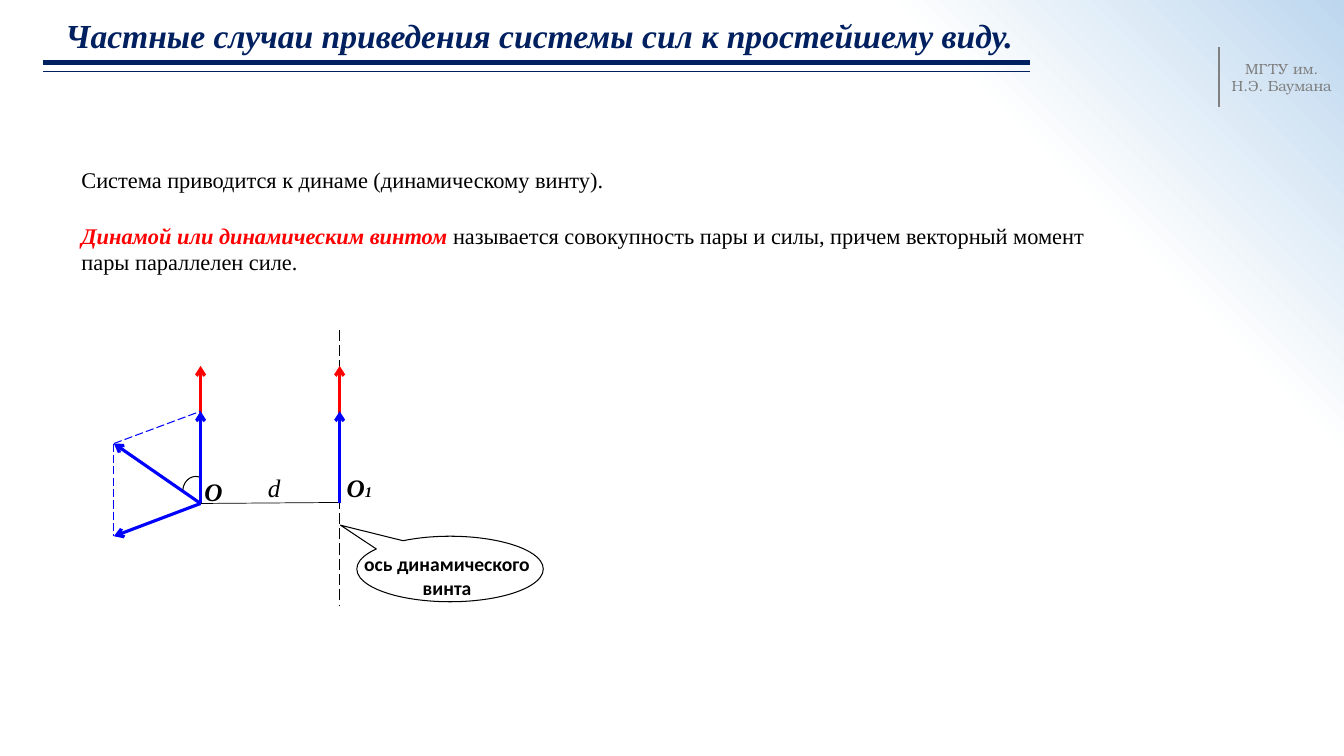
from dataclasses import dataclass

from lxml.etree import SubElement
from pptx import Presentation
from pptx.dml.color import RGBColor
from pptx.enum.dml import MSO_LINE_DASH_STYLE as Dash
from pptx.enum.shapes import MSO_CONNECTOR as Connector, MSO_SHAPE as Shape
from pptx.enum.text import MSO_ANCHOR as Anchor, PP_ALIGN as Align
from pptx.oxml import parse_xml
from pptx.oxml.ns import nsdecls, qn
from pptx.util import Inches, Pt

CELL = Inches(0.1)
COLUMNS, ROWS = 133.33, 75
NAVY, GRAY, BLACK, RED, BLUE = "002060", "808080", "000000", "FF0000", "0000FF"
SERIF = "Times New Roman"
BODY = {"name": SERIF, "size": 16, "color": BLACK}
TERM = BODY | {"color": RED, "bold": True, "italic": True}
SYMBOL = {"name": SERIF, "size": 18, "color": BLACK, "italic": True}
POINT = SYMBOL | {"bold": True}


@dataclass
class Box:
    """A region of the page, measured in grid cells."""
    left: float
    top: float
    width: float
    height: float

    def spot(self, column, row):
        """Return the page position of a point inside the region."""
        return round((self.left + column) * CELL), round((self.top + row) * CELL)

    def area(self, column, row, width, height):
        """Return the page frame of an area inside the region."""
        return *self.spot(column, row), round(width * CELL), round(height * CELL)


def paint(color):
    """Turn a hex string into a colour."""
    return RGBColor.from_string(color)


def add_background(page):
    """Fill the page with a radial gradient centred on the lower left corner."""
    page.background.fill.solid()
    properties = page.element.cSld.bg.bgPr
    properties.replace(properties[0], parse_xml(
        f'<a:gradFill {nsdecls("a")} rotWithShape="1"><a:gsLst>'
        '<a:gs pos="78000"><a:srgbClr val="FFFFFF"/></a:gs>'
        '<a:gs pos="100000"><a:srgbClr val="BDD7EE"/></a:gs></a:gsLst>'
        '<a:path path="circle"><a:fillToRect t="100000" r="100000"/></a:path>'
        '</a:gradFill>'))


def add_line(page, start, end, color, width, dashed=False, arrow=False):
    """Draw a straight line, dashed or with an arrowhead at its end."""
    line = page.shapes.add_connector(Connector.STRAIGHT, *start, *end)
    line.line.color.rgb = paint(color)
    line.line.width = Pt(width)
    properties = line.element.spPr
    if dashed:
        line.line.dash_style = Dash.LONG_DASH
    if arrow:
        SubElement(properties.find(qn("a:ln")), qn("a:tailEnd"), type="arrow")
    SubElement(properties, qn("a:effectLst"))


def add_text(page, frame, spans, align=Align.LEFT, anchor=Anchor.TOP, wrap=True, spacing=None):
    """Place one paragraph made of (text, format) spans."""
    text = page.shapes.add_textbox(*frame).text_frame
    text.word_wrap, text.vertical_anchor = wrap, anchor
    para = text.paragraphs[0]
    para.alignment, para.line_spacing = align, spacing
    for words, style in spans:
        span = para.add_run()
        span.text = words
        for key, value in style.items():
            if key == "color":
                span.font.color.rgb = paint(value)
            else:
                setattr(span.font, key, Pt(value) if key == "size" else value)


def add_outline(page, kind, frame, adjustments, rotation=0):
    """Draw an unfilled preset shape with a thin black outline."""
    shape = page.shapes.add_shape(kind, *frame)
    shape.shadow.inherit = False
    shape.fill.background()
    shape.line.color.rgb = paint(BLACK)
    shape.line.width = Pt(0.75)
    shape.rotation = rotation
    for index, value in enumerate(adjustments):
        shape.adjustments[index] = value


def add_header(page, box):
    """Place the title above its double rule."""
    title = {"name": SERIF, "size": 24, "color": NAVY, "bold": True, "italic": True}
    add_text(page, box.area(1.2, 0, 96.8, 5.8),
             [("Частные случаи приведения системы сил к простейшему виду.", title)],
             anchor=Anchor.MIDDLE, spacing=0.9)
    for row, width in ((5.4, 3.5), (6.3, 0.75)):
        add_line(page, box.spot(0, row), box.spot(box.width, row), NAVY, width)


def add_university(page, box):
    """Place the university name beside its upright rule."""
    add_line(page, box.spot(0, 0), box.spot(0, box.height), GRAY, 1.5)
    add_text(page, box.area(0, 0.7, box.width, 4.5),
             [("МГТУ им. Н.Э. Баумана",
               {"name": "TeX Gyre Bonum", "size": 10.5, "color": GRAY})], Align.CENTER)


def add_definition(page, box):
    """Place the statement and the definition of the wrench."""
    add_text(page, box.area(0, 0, 55, 3.7),
             [("Система приводится к динаме (динамическому винту).", BODY)])
    add_text(page, box.area(0, 5.5, box.width, 6.4),
             [("Динамой или динамическим винтом ", TERM),
              ("называется совокупность пары и силы, причем векторный момент "
               "пары параллелен силе.", BODY)])


def add_diagram(page, box):
    """Draw the vectors at O, the axis through O1 and the labels."""
    center, axis, base = 8.6, 22.4, 17.25
    force, moment, upper, lower = 8.1, 3.6, 11.3, 20.5
    origin = box.spot(center, base)

    add_outline(page, Shape.OVAL_CALLOUT, box.area(24.1, 20.5, 18.5, 6.5), (-0.588, -0.669))
    add_line(page, box.spot(axis, 0), box.spot(axis, box.height), BLACK, 1, dashed=True)
    add_line(page, origin, box.spot(axis, base - 0.1), BLACK, 0.5)
    for tip, color in ((moment, RED), (force, BLUE)):
        for column in (center, axis):
            add_line(page, box.spot(column, base), box.spot(column, tip), color, 2.25, arrow=True)
    for tip in (upper, lower):
        add_line(page, origin, box.spot(0, tip), BLUE, 2.25, arrow=True)
    for end in ((center, force), (0, lower)):
        add_line(page, box.spot(0, upper), box.spot(*end), BLUE, 0.75, dashed=True)
    add_outline(page, Shape.ARC, box.area(6.7, 14.7, 2.7, 2.4), (151.995, 0), 286.4)

    add_text(page, box.area(14.3, 13.7, 2.5, 4), [("d", SYMBOL)])
    add_text(page, box.area(8, 14.1, 3.8, 4), [("O", POINT)], wrap=False)
    add_text(page, box.area(22.1, 13.7, 4.6, 4),
             [("O", POINT), ("1", POINT | {"size": 10.5})], wrap=False)
    add_text(page, box.area(23.5, 21.6, 19.1, 5.7),
             [("ось динамического винта",
               {"name": "Calibri", "size": 14, "color": BLACK, "bold": True})], Align.CENTER)


def main():
    """Build the slide and save it."""
    deck = Presentation()
    deck.slide_width, deck.slide_height = round(COLUMNS * CELL), ROWS * CELL
    page = deck.slides.add_slide(deck.slide_layouts[6])
    add_background(page)
    add_header(page, Box(4.3, 0.8, 97.9, 6.3))
    add_university(page, Box(120.9, 4.7, 12.5, 5.9))
    add_definition(page, Box(7.1, 16, 104.2, 11.9))
    add_diagram(page, Box(11.3, 32.7, 42.6, 27.3))
    deck.save("out.pptx")


if __name__ == "__main__":
    main()
